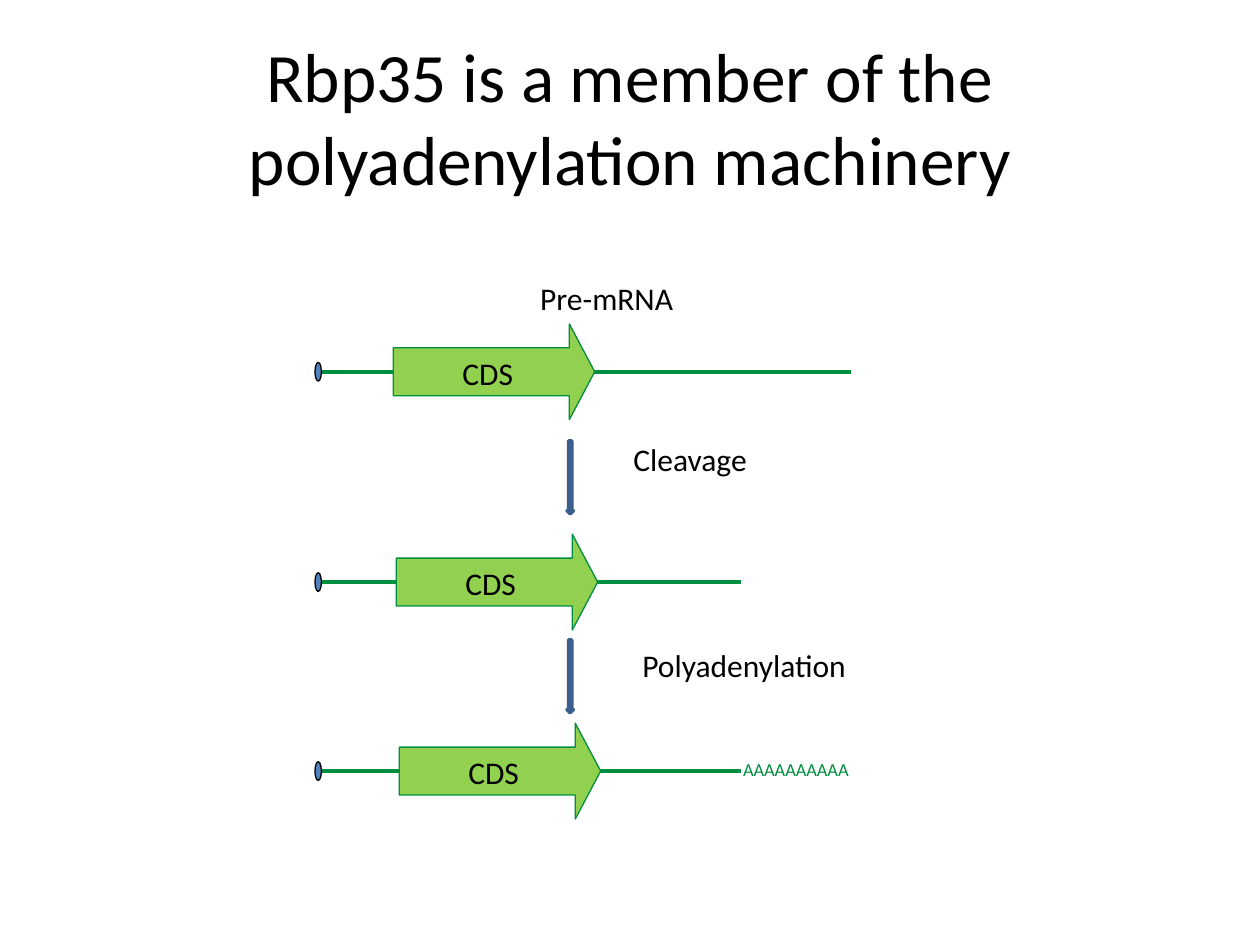
from lxml import etree
from pptx import Presentation
from pptx.dml.color import RGBColor
from pptx.enum.shapes import MSO_CONNECTOR, MSO_SHAPE
from pptx.enum.text import MSO_ANCHOR, MSO_AUTO_SIZE, PP_ALIGN
from pptx.oxml.ns import qn
from pptx.util import Cm, Pt

LINE = MSO_CONNECTOR.STRAIGHT
OVAL, RIGHT, DOWN = MSO_SHAPE.OVAL, MSO_SHAPE.RIGHT_ARROW, MSO_SHAPE.DOWN_ARROW
TOP, MIDDLE = MSO_ANCHOR.TOP, MSO_ANCHOR.MIDDLE
LEFT, CENTER = PP_ALIGN.LEFT, PP_ALIGN.CENTER
GROW = MSO_AUTO_SIZE.SHAPE_TO_FIT_TEXT

BLACK, GREEN, LIME = "000000", "008E40", "92D050"
BLUE, NAVY = "4F81BD", "3A5F8C"


def color(code):
    return RGBColor.from_string(code)


def apply(target, values):
    for name, value in values.items():
        setattr(target, name, value)


def write(shape, text, size=18, ink=BLACK, align=LEFT, **frame):
    """Put one styled paragraph into a shape."""
    apply(shape.text_frame, frame)
    para = shape.text_frame.paragraphs[0]
    para.text = text
    para.alignment = align
    apply(para.font, {"name": "Calibri", "size": Pt(size)})
    para.font.color.rgb = color(ink)


def label(slide, box, text, **style):
    area = slide.shapes.add_textbox(*map(Cm, box))
    write(area, text, **style)


def solid(slide, kind, box, fill, edge, width):
    shape = slide.shapes.add_shape(kind, *map(Cm, box))
    shape.shadow.inherit = False
    shape.fill.solid()
    shape.fill.fore_color.rgb = color(fill)
    shape.line.color.rgb = color(edge)
    shape.line.width = Pt(width)
    return shape


def strand(slide, box, start):
    """Draw an RNA strand: line, cap and coding arrow starting at an offset."""
    left, top, width, height = box
    mid = top + height / 2
    # Backbone
    ends = (left, mid, left + width, mid)
    line = slide.shapes.add_connector(LINE, *map(Cm, ends))
    line.line.color.rgb = color(GREEN)
    line.line.width = Pt(2.25)
    etree.SubElement(line._element.spPr, qn("a:effectLst"))
    # Cap
    solid(slide, OVAL, (left, mid - 0.19, 0.13, 0.38), BLUE, BLACK, 0.75)
    # Coding sequence
    arrow = solid(slide, RIGHT, (left + start, top, 4.06, height),
                  LIME, GREEN, 0.75)
    arrow.adjustments[1] = 0.265
    write(arrow, "CDS", align=CENTER, vertical_anchor=TOP, word_wrap=True)


def step(slide, box, text, place):
    """Draw a down arrow and its label, offset from the arrow's corner."""
    solid(slide, DOWN, box, BLUE, NAVY, 2)
    right, down, width = place
    label(slide, (box[0] + right, box[1] + down, width, 1.02), text,
          word_wrap=False, auto_size=GROW)


def main():
    deck = Presentation()
    apply(deck, {"slide_width": Cm(25.4), "slide_height": Cm(19.05)})
    slide = deck.slides.add_slide(deck.slide_layouts[6])

    # Title
    label(slide, (1.27, 0.76, 22.86, 3.18),
          "Rbp35 is a member of the polyadenylation machinery",
          size=39.6, align=CENTER, vertical_anchor=MIDDLE, word_wrap=True)

    # Strands: top, length, start of the coding arrow
    for top, length, start in ((6.53, 10.8, 1.58), (10.77, 8.59, 1.64),
                               (14.58, 8.59, 1.7)):
        strand(slide, (6.35, top, length, 1.93), start)

    # Steps between strands
    for top, text, place in ((8.89, "Cleavage", (1.09, -0.15, 2.82)),
                             (12.9, "Polyadenylation", (1.27, 0, 4.67))):
        step(slide, (11.43, top, 0.13, 1.47), text, place)

    # Strand labels
    label(slide, (10.64, 5.51, 3.23, 1.02), "Pre-mRNA",
          word_wrap=False, auto_size=GROW)
    label(slide, (14.73, 15.16, 2.9, 0.71), "AAAAAAAAAA", size=10.5,
          ink=GREEN, word_wrap=True, auto_size=GROW)

    deck.save("out.pptx")


if __name__ == "__main__":
    main()
